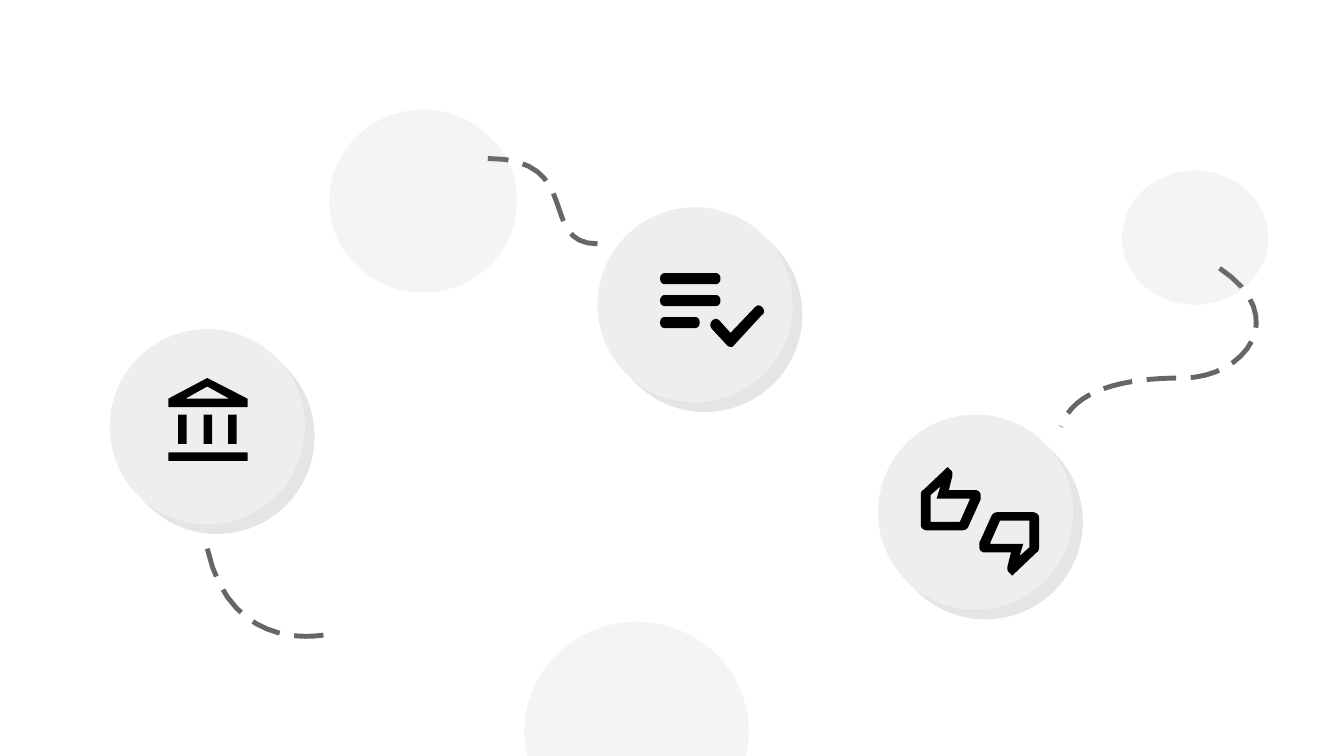
from pptx import Presentation
from pptx.dml.color import RGBColor
from pptx.enum.shapes import MSO_SHAPE
from pptx.oxml import parse_xml
from pptx.oxml.ns import nsdecls
from pptx.util import Pt

PX = 9144  # 100 px to the inch
OVAL = MSO_SHAPE.OVAL
BLACK = RGBColor(0x00, 0x00, 0x00)
BADGE_GREY = RGBColor(0xEE, 0xEE, 0xEE)
DASH_GREY = RGBColor(0x66, 0x66, 0x66)
BLUE_GREY = RGBColor(0x8D, 0x99, 0xAE)
CURVE_STEPS = 16
BADGE = 160


def flatten(contour):
    """Turn (x, y) line ends and (x1, y1, x2, y2, x, y) curves into points."""
    points = [contour[0]]
    for segment in contour[1:]:
        if len(segment) == 2:
            points.append(segment)
            continue
        x0, y0 = points[-1]
        x1, y1, x2, y2, x3, y3 = segment
        for i in range(1, CURVE_STEPS + 1):
            t = i / CURVE_STEPS
            a, b, c, d = (1 - t) ** 3, 3 * t * (1 - t) ** 2, 3 * t * t * (1 - t), t ** 3
            points.append((a * x0 + b * x1 + c * x2 + d * x3,
                           a * y0 + b * y1 + c * y2 + d * y3))
    return points


def add_outline(shapes, x, y, contours, close):
    builder = None
    for contour in contours:
        points = [((x + px) * PX, (y + py) * PX) for px, py in flatten(contour)]
        if builder is None:
            builder = shapes.build_freeform(*points[0], scale=1.0)
        else:
            builder.move_to(*points[0])
        builder.add_line_segments(points[1:], close=close)
    sp = builder.convert_to_shape()
    sp.shadow.inherit = False
    return sp


def add_icon(shapes, x, y, contours):
    sp = add_outline(shapes, x, y, contours, True)
    sp.fill.solid()
    sp.fill.fore_color.rgb = BLACK
    sp.line.fill.background()


def add_dashes(s, x, y, contour):
    sp = add_outline(s.shapes, x, y, [contour], False)
    sp.fill.background()
    sp.line.color.rgb = DASH_GREY
    sp.line.width = Pt(2.89)
    sp.line._get_or_add_ln().append(parse_xml(
        f'<a:custDash {nsdecls("a")}><a:ds d="600000" sp="300000"/></a:custDash>'))


def add_circle(s, x, y, w, h, color):
    sp = s.shapes.add_shape(OVAL, x * PX, y * PX, w * PX, h * PX)
    sp.shadow.inherit = False
    sp.fill.solid()
    sp.fill.fore_color.rgb = color
    sp.line.fill.background()
    return sp


def add_badge(s, x, y):
    sp = add_circle(s, x, y, BADGE, BADGE, BADGE_GREY)
    effects = sp._element.spPr.find('.//{*}effectLst')
    effects.append(parse_xml(
        f'<a:outerShdw {nsdecls("a")} blurRad="0" dist="{Pt(8.1)}" dir="2700000" '
        'algn="bl" rotWithShape="0"><a:srgbClr val="808080">'
        '<a:alpha val="20000"/></a:srgbClr></a:outerShdw>'))


def add_bubble(s, x, y, w, h):
    """Add a circle that is 10 % opaque."""
    sp = add_circle(s, x, y, w, h, BLUE_GREY)
    color = sp._element.spPr.find('{*}solidFill')[0]
    color.append(parse_xml(f'<a:alpha {nsdecls("a")} val="10000"/>'))


def rectangle(x, y, w, h):
    return [(x, y), (x + w, y), (x + w, y + h), (x, y + h)]


def rounded_bar(y, w):
    return [(4, y), (w - 4, y), (w + 1, y, w + 1, y + 9, w - 4, y + 9),
            (4, y + 9), (-1, y + 9, -1, y, 4, y)]


def add_bank(s, x, y):
    roof = [(32, 0), (0, 17), (0, 24), (65, 24), (65, 17)]
    gable = [(50, 17), (14, 17), (32, 7)]
    pillars = [rectangle(left, 30, 7, 24) for left in (8, 29, 49)]
    add_icon(s.shapes, x, y, [roof, gable, *pillars, rectangle(0, 61, 65, 7)])


def add_checklist(s, x, y):
    bars = [rounded_bar(18 * i, w) for i, w in enumerate((50, 50, 33))]
    check = [(84, 28), (86, 30, 86, 33, 84, 34), (61, 59), (60, 61, 57, 61, 55, 59),
             (43, 46), (41, 44, 41, 41, 43, 39), (45, 37, 47, 37, 49, 39),
             (58, 49), (78, 28), (80, 26, 82, 26, 84, 28)]
    add_icon(s.shapes, x, y, [*bars, check])


def add_thumbs(s, x, y):
    hand = [(45, 19), (47, 19, 49, 21, 49, 23), (49, 27), (48, 29), (39, 49),
            (38, 51, 36, 52, 33, 52), (6, 52), (2, 52, 0, 50, 0, 47),
            (0, 23), (0, 21, 1, 19, 2, 19), (22, 0), (25, 3),
            (26, 4, 26, 5, 26, 7), (23, 19)]
    palm = [(40, 27), (40, 26), (13, 26), (16, 16), (8, 23), (8, 45), (32, 45)]
    thumb_up = [hand, palm]
    # The lower thumb is the upper one turned by half a circle.
    thumb_down = [[tuple((89 if i % 2 else 97) - v for i, v in enumerate(segment))
                   for segment in contour] for contour in thumb_up]
    group = s.shapes.add_group_shape()
    for thumb in (thumb_up, thumb_down):
        add_icon(group.shapes, x, y, thumb)


def add_background(s):
    for x, y in ((90, 270), (490, 170), (720, 340)):
        add_badge(s, x, y)
    add_dashes(s, 170, 450, [(0, 0), (20, 90, 100, 70, 100, 70)])
    add_dashes(s, 400, 130, [(90, 70), (40, 70, 80, 0, 0, 0)])
    add_dashes(s, 870, 220, [(130, 0), (190, 40, 150, 90, 100, 90),
                             (50, 90, 10, 100, 0, 130)])
    for box in ((270, 90, 154, 150), (430, 510, 184, 180), (920, 140, 120, 110)):
        add_bubble(s, *box)


def main():
    prs = Presentation()
    prs.slide_width, prs.slide_height = 1102 * PX, 620 * PX
    s = prs.slides.add_slide(prs.slide_layouts[6])
    add_background(s)
    add_bank(s, 138, 310)
    add_checklist(s, 541, 224)
    add_thumbs(s, 755, 383)
    prs.save("out.pptx")


if __name__ == "__main__":
    main()
